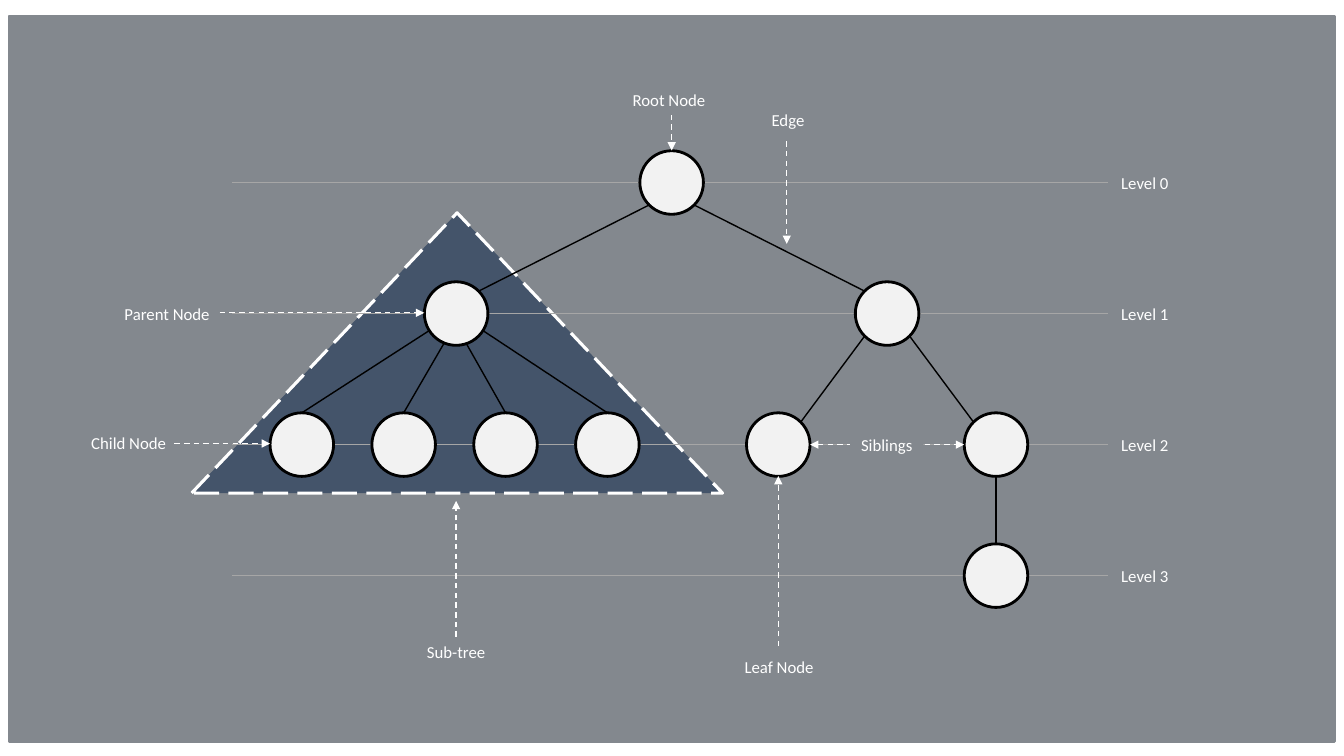
from lxml.etree import SubElement
from pptx import Presentation
from pptx.dml.color import RGBColor
from pptx.enum.dml import MSO_LINE
from pptx.enum.shapes import MSO_CONNECTOR, MSO_SHAPE
from pptx.enum.text import MSO_AUTO_SIZE, PP_ALIGN
from pptx.oxml.ns import qn
from pptx.util import Pt

color = RGBColor.from_string
presentation = Presentation()
presentation.slide_width, presentation.slide_height = Pt(960.48), Pt(540)
slide = presentation.slides.add_slide(presentation.slide_layouts[6])
shapes = slide.shapes


def add_outlined(kind, left, top, width, height, fill, line, weight):
    shape = shapes.add_shape(kind, Pt(left), Pt(top), Pt(width), Pt(height))
    shape.shadow.inherit = False
    shape.fill.solid()
    shape.fill.fore_color.rgb = color(fill)
    shape.line.color.rgb = color(line)
    shape.line.width = Pt(weight)
    return shape


def add_line(start, end, line, arrow_ends=()):
    points = [Pt(value) for value in (*start, *end)]
    connector = shapes.add_connector(MSO_CONNECTOR.STRAIGHT, *points)
    connector.line.color.rgb = color(line)
    connector.line.width = Pt(1)
    properties = connector.element.spPr
    if arrow_ends:
        connector.line.dash_style = MSO_LINE.DASH
        for arrow_end in arrow_ends:
            SubElement(properties.find(qn("a:ln")), qn(arrow_end), type="triangle")
    SubElement(properties, qn("a:effectLst"))


GRAY, WHITE, BLACK = "83888E", "FFFFFF", "000000"
add_outlined(MSO_SHAPE.RECTANGLE, 6.5, 11.5, 947.5, 518.4, GRAY, GRAY, 2)
subtree = add_outlined(MSO_SHAPE.ISOSCELES_TRIANGLE, 137, 152, 379.4, 200.2, "44546A", WHITE, 2.25)
subtree.line.dash_style = MSO_LINE.LONG_DASH

level_y = [130.4 + 93.6 * level for level in range(4)]
for y in level_y:
    add_line((792, y), (165.6, y), "A6A6A6")

radius, diagonal = 22.7, 16
nodes = {
    "root": (480, level_y[0]),
    "parent": (326, level_y[1]),
    "right": (634, level_y[1]),
    "leaf": (556.2, level_y[2]),
    "sibling": (711.8, level_y[2]),
    "grandchild": (711.8, level_y[3]),
}
for index in range(4):
    nodes[f"child {index}"] = (215.7 + 72.8 * index, level_y[2])

top, bottom = (0, -radius), (0, radius)
top_left, top_right = (-diagonal, -diagonal), (diagonal, -diagonal)
bottom_left, bottom_right = (-diagonal, diagonal), (diagonal, diagonal)
edges = [
    ("root", bottom_left, "parent", top_right),
    ("root", bottom_right, "right", top_left),
    ("right", bottom_left, "leaf", top_right),
    ("right", bottom_right, "sibling", top_left),
    ("sibling", bottom, "grandchild", top),
    ("parent", (-19, 12), "child 0", top),
    ("parent", (-8.3, 20.6), "child 1", top),
    ("parent", (6.8, 20.6), "child 2", top),
    ("parent", (19.8, 12.6), "child 3", top),
]
for upper, start, lower, end in edges:
    (upper_x, upper_y), (lower_x, lower_y) = nodes[upper], nodes[lower]
    add_line((upper_x + start[0], upper_y + start[1]), (lower_x + end[0], lower_y + end[1]), BLACK)

for x, y in nodes.values():
    add_outlined(MSO_SHAPE.OVAL, x - radius, y - radius, 2 * radius, 2 * radius, "F2F2F2", BLACK, 2)

one_end, both_ends = ["a:tailEnd"], ["a:headEnd", "a:tailEnd"]
arrows = [
    ((480, 82), (480, 107.5), one_end),
    ((562.3, 100.8), (562.3, 174.2), one_end),
    ((157, 223.4), (303.2, 223.4), one_end),
    ((124.6, 316.8), (193, 316.8), one_end),
    ((326, 455), (326, 357.8), one_end),
    ((556.2, 461.5), (556.2, 340), one_end),
    ((578.9, 317.6), (689.1, 317.6), both_ends),
]
for start, end, arrow_ends in arrows:
    add_line(start, end, WHITE, arrow_ends)

labels = [
    ("Root Node", 445, 60.5, 70.6, PP_ALIGN.LEFT),
    ("Edge", 544.3, 74.9, 41.8, PP_ALIGN.LEFT),
    ("Parent Node", 59, 213.1, 98, PP_ALIGN.RIGHT),
    ("Child Node", 55.2, 305.6, 70.6, PP_ALIGN.RIGHT),
    ("Siblings", 607.5, 306.7, 52.5, PP_ALIGN.CENTER),
    ("Sub-tree", 298, 455, 59.8, PP_ALIGN.LEFT),
    ("Leaf Node", 525, 465.4, 74.9, PP_ALIGN.LEFT),
]
for level, y in enumerate(level_y):
    labels.append((f"Level {level}", 794.2, y - 10.9, 59.8, PP_ALIGN.LEFT))

for text, left, label_top, width, alignment in labels:
    label = shapes.add_textbox(Pt(left), Pt(label_top), Pt(width), Pt(21.8))
    if text == "Siblings":
        label.fill.solid()
        label.fill.fore_color.rgb = color(GRAY)
    frame = label.text_frame
    frame.word_wrap = True
    frame.auto_size = MSO_AUTO_SIZE.SHAPE_TO_FIT_TEXT
    frame.text = text
    paragraph = frame.paragraphs[0]
    paragraph.alignment = alignment
    font = paragraph.runs[0].font
    font.name, font.size = "Calibri", Pt(12)
    font.color.rgb = color(WHITE)

presentation.save("out.pptx")
